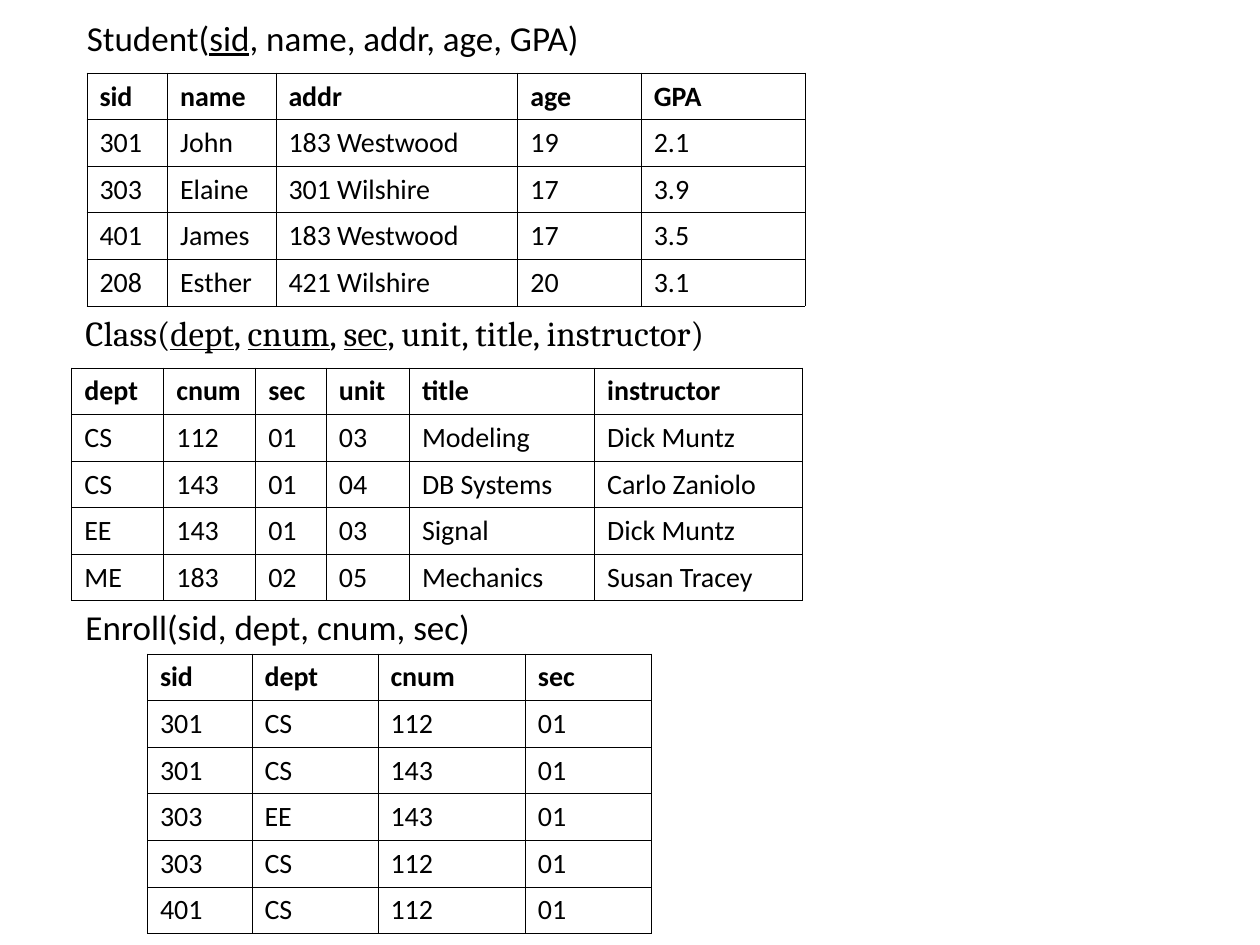
from pptx import Presentation
from pptx import util as u
from pptx.dml.color import RGBColor
from pptx.enum import text
from pptx.oxml import parse_xml
from pptx.oxml.ns import nsdecls

COLORS = {"ink": "000000"}
ROW_HEIGHT = 0.37
BORDER_WIDTH = u.Pt(0.45)

STUDENTS = [
    ["sid", "name", "addr", "age", "GPA"],
    ["301", "John", "183 Westwood", "19", "2.1"],
    ["303", "Elaine", "301 Wilshire", "17", "3.9"],
    ["401", "James", "183 Westwood", "17", "3.5"],
    ["208", "Esther", "421 Wilshire", "20", "3.1"],
]
CLASSES = [
    ["dept", "cnum", "sec", "unit", "title", "instructor"],
    ["CS", "112", "01", "03", "Modeling", "Dick Muntz"],
    ["CS", "143", "01", "04", "DB Systems", "Carlo Zaniolo"],
    ["EE", "143", "01", "03", "Signal", "Dick Muntz"],
    ["ME", "183", "02", "05", "Mechanics", "Susan Tracey"],
]
ENROLLMENTS = [
    ["sid", "dept", "cnum", "sec"],
    ["301", "CS", "112", "01"],
    ["301", "CS", "143", "01"],
    ["303", "EE", "143", "01"],
    ["303", "CS", "112", "01"],
    ["401", "CS", "112", "01"],
]


def style_font(font, name, size, bold=False):
    font.name = name
    font.size = u.Pt(size)
    font.bold = bold
    font.color.rgb = RGBColor.from_string(COLORS["ink"])


def add_schema(slide, left, top, width, relation, keys, others, font_name="Calibri", wrap=True):
    shape = slide.shapes.add_textbox(u.Inches(left), u.Inches(top), u.Inches(width), u.Inches(0.44))
    frame = shape.text_frame
    frame.word_wrap = wrap
    frame.auto_size = text.MSO_AUTO_SIZE.SHAPE_TO_FIT_TEXT
    paragraph = frame.paragraphs[0]
    style_font(paragraph.font, font_name, 20)
    paragraph.add_run().text = f"{relation}("
    for key in keys:
        run = paragraph.add_run()
        run.text = key
        run.font.underline = True
        if key != keys[-1]:
            paragraph.add_run().text = ", "
    paragraph.add_run().text = (", " if keys else "") + ", ".join(others) + ")"


def add_borders(cell):
    properties = cell._tc.get_or_add_tcPr()
    for side in ("lnL", "lnR", "lnT", "lnB"):
        properties.append(parse_xml(
            f'<a:{side} {nsdecls("a")} w="{BORDER_WIDTH}"><a:solidFill>'
            f'<a:srgbClr val="{COLORS["ink"]}"/></a:solidFill></a:{side}>'
        ))


def add_relation(slide, left, top, widths, rows):
    shape = slide.shapes.add_table(
        len(rows), len(widths), u.Inches(left), u.Inches(top),
        u.Inches(sum(widths)), u.Inches(ROW_HEIGHT * len(rows)),
    )
    table = shape.table
    table.first_row = False
    table.horz_banding = False
    for column, width in zip(table.columns, widths):
        column.width = u.Inches(width)
    for row_index, values in enumerate(rows):
        table.rows[row_index].height = u.Inches(ROW_HEIGHT)
        for column_index, value in enumerate(values):
            cell = table.cell(row_index, column_index)
            cell.text = value
            style_font(cell.text_frame.paragraphs[0].font, "Calibri", 16, bold=row_index == 0)
            add_borders(cell)
            cell.fill.background()


def main():
    presentation = Presentation()
    presentation.slide_width = u.Inches(10)
    presentation.slide_height = u.Inches(7.5)
    slide = presentation.slides.add_slide(presentation.slide_layouts[6])

    add_schema(slide, 0.59, 0.08, 4.15, "Student", ["sid"], STUDENTS[0][1:], wrap=False)
    add_schema(slide, 0.58, 2.42, 7.83, "Class", CLASSES[0][:3], CLASSES[0][3:], font_name="Cambria")
    add_schema(slide, 0.58, 4.76, 7.83, "Enroll", [], ENROLLMENTS[0])

    add_relation(slide, 1.17, 5.19, [0.83, 1, 1.17, 1], ENROLLMENTS)
    add_relation(slide, 0.69, 0.58, [0.64, 0.86, 1.92, 0.98, 1.3], STUDENTS)
    add_relation(slide, 0.57, 2.92, [0.73, 0.73, 0.56, 0.66, 1.47, 1.65], CLASSES)

    presentation.save("out.pptx")


if __name__ == "__main__":
    main()
